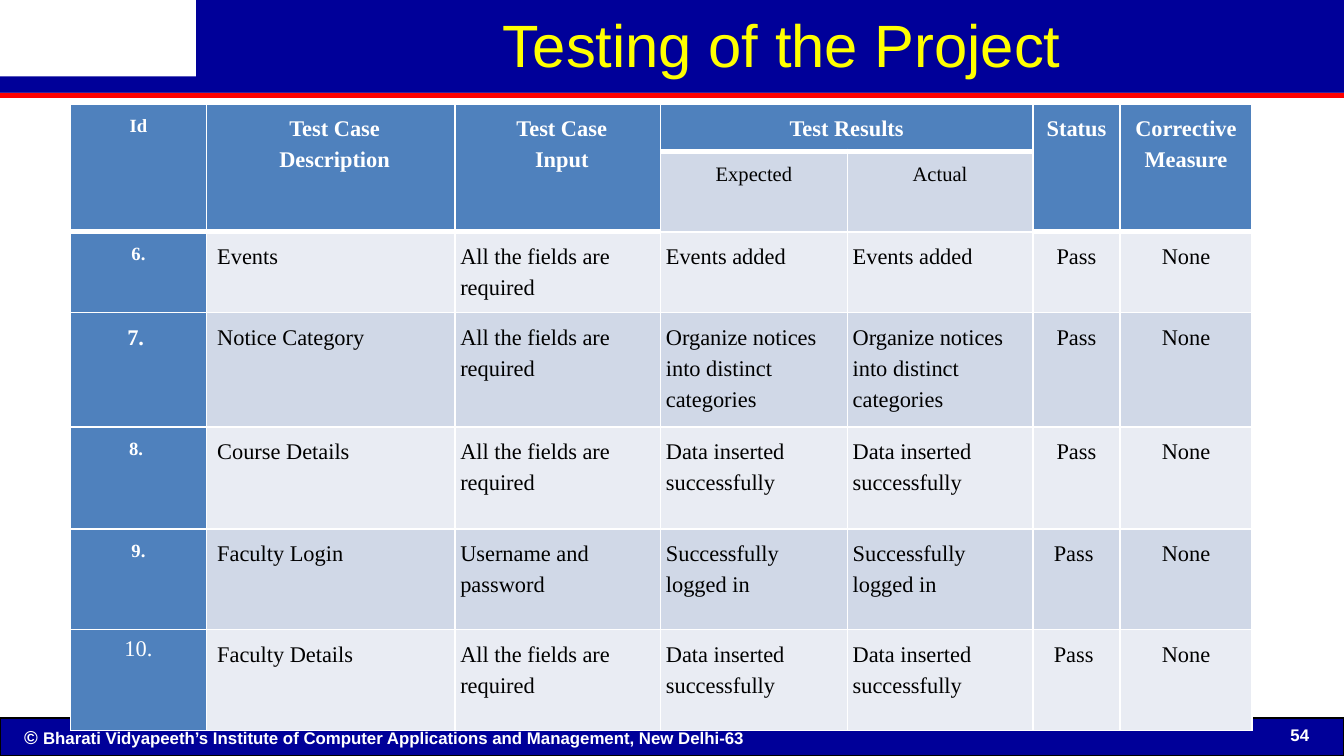
"""Builds the project testing slide with its table of test cases."""
from lxml import etree
from pptx import Presentation
from pptx import util as u
from pptx.dml import color
from pptx.enum import shapes, text
from pptx.oxml import ns

NAVY, RED, YELLOW, WHITE, BLACK = "000099", "FF0000", "FFFF00", "FFFFFF", "000000"
HEADER, BAND_DARK, BAND_LIGHT = "4F81BD", "D0D8E7", "E9ECF3"
LEFT, CENTER, RIGHT = text.PP_ALIGN.LEFT, text.PP_ALIGN.CENTER, text.PP_ALIGN.RIGHT


def paint(fill, value):
    fill.solid()
    fill.fore_color.rgb = color.RGBColor.from_string(value)


def write(paragraph, words, size=12, font="Times New Roman", ink=BLACK, bold=False, align=LEFT, spacing=None):
    paragraph.alignment = align
    paragraph.line_spacing = spacing
    run = paragraph.add_run()
    run.text = words
    run.font.size, run.font.name, run.font.bold = u.Pt(size), font, bold
    paint(run.font.fill, ink)


presentation = Presentation()
presentation.slide_width = u.Inches(10)
presentation.slide_height = presentation.slide_width * 9 // 16
column, row = presentation.slide_width / 100, presentation.slide_height / 100
slide = presentation.slides.add_slide(presentation.slide_layouts[6])

bands = [
    (0, 12.25, 100, 0.7, RED),
    (16.4, 0, 83.6, 10.2, NAVY),
    (14.6, 0, 85.4, 10.2, NAVY),
    (0, 10.1, 100, 2.15, NAVY),
    (0, 11.2, 100, 1.05, NAVY),
    (0, 95, 100, 5, NAVY),
]
for left, top, width, height, tone in bands:
    band = slide.shapes.add_shape(
        shapes.MSO_SHAPE.RECTANGLE, int(left * column), int(top * row), int(width * column), int(height * row))
    band.shadow.inherit = False
    paint(band.fill, tone)
    band.line.fill.background()
paint(band.line.fill, BLACK)
band.line.width = u.Pt(0.75)

labels = [
    (0.9, 95.3, 86.4, 4.45, LEFT, WHITE, True,
     [("© ", 10), ("Bharati Vidyapeeth’s Institute of Computer Applications and Management, New Delhi-63", 9)]),
    (82.4, 95.2, 15.9, 4.45, RIGHT, WHITE, True, [("54", 9)]),
    (16.4, 0.36, 83.6, 9.79, CENTER, YELLOW, False, [("Testing of the Project", 32)]),
]
for left, top, width, height, align, ink, bold, pieces in labels:
    label = slide.shapes.add_textbox(int(left * column), int(top * row), int(width * column), int(height * row))
    frame = label.text_frame
    frame.word_wrap = True
    frame.margin_left = frame.margin_right = u.Inches(0.09)
    frame.margin_top = frame.margin_bottom = u.Inches(0.04)
    for words, size in pieces:
        write(frame.paragraphs[0], words, size=size, font="Arial", ink=ink, bold=bold, align=align)

widths = [10.1, 18.5, 15.3, 13.9, 13.8, 6.5, 9.8]
heights = [5.33, 8.89, 10.13, 13.51, 13.51, 13.33, 13.33]
cases = [
    ("6.", " Events", "All the fields are required", "Events added", "Pass"),
    ("7. ", " Notice Category", "All the fields are required", "Organize notices into distinct categories", "Pass"),
    ("8. ", " Course Details", "All the fields are required", "Data inserted successfully", "Pass"),
    ("9.", " Faculty Login", "Username and password", "Successfully logged in", "Pass "),
    ("10.", " Faculty Details", "All the fields are required", "Data inserted successfully", "Pass "),
]
contents = [
    ["Id", "Test Case\nDescription", "Test Case\nInput", "Test Results", "", "Status", "Corrective\nMeasure"],
    ["", "", "", "Expected", "Actual", "", ""],
]
contents += [[number, name, needed, result, result, status, "None"] for number, name, needed, result, status in cases]

table_frame = slide.shapes.add_table(
    len(heights), len(widths), int(5.25 * column), int(13.75 * row), int(sum(widths) * column), int(sum(heights) * row))
table = table_frame.table
for index, width in enumerate(widths):
    table.columns[index].width = int(width * column)
for index, height in enumerate(heights):
    table.rows[index].height = int(height * row)
table_frame.height = int(80.9 * row)

for r, line in enumerate(contents):
    for c, words in enumerate(line):
        cell = table.cell(r, c)
        is_result = c in (3, 4)
        is_header = r == 0 or (r == 1 and not is_result)
        is_blue = is_header or c == 0
        is_last = r == len(heights) - 1
        indent = 0.06 if is_header and c in (1, 2) else 0
        cell.margin_left, cell.margin_right = u.Inches(0.04 + indent), u.Inches(0.04)
        cell.margin_top = cell.margin_bottom = u.Inches(0.05)

        thick_top = r == (1 if is_result else 2)
        bottom = 3 if is_header else 0.06 if is_last else 0.96
        edges = {"lnL": 0.96, "lnR": 0.96, "lnT": 3 if thick_top else 0.96, "lnB": bottom}
        properties = cell._tc.get_or_add_tcPr()
        for edge, points in edges.items():
            border = etree.SubElement(properties, ns.qn(f"a:{edge}"), w=str(u.Pt(points)))
            solid = etree.SubElement(border, ns.qn("a:solidFill"))
            etree.SubElement(solid, ns.qn("a:srgbClr"), val=WHITE)
        paint(cell.fill, HEADER if is_blue else BAND_DARK if r % 2 else BAND_LIGHT)

        plain_number = is_last and c == 0
        size = 11 if r == 1 else 10 if c == 0 and r != 3 and not is_last else 12
        align = CENTER if r < 2 or c in (0, 5, 6) else LEFT
        for index, part in enumerate(words.split("\n") if words else []):
            paragraph = cell.text_frame.paragraphs[0] if index == 0 else cell.text_frame.add_paragraph()
            write(paragraph, part, size=size, ink=WHITE if is_blue else BLACK, bold=is_blue and not plain_number,
                  align=align, spacing=1.0 if plain_number else 1.25)

for c in (0, 1, 2, 5, 6):
    table.cell(0, c).merge(table.cell(1, c))
table.cell(0, 3).merge(table.cell(0, 4))

presentation.save("out.pptx")
